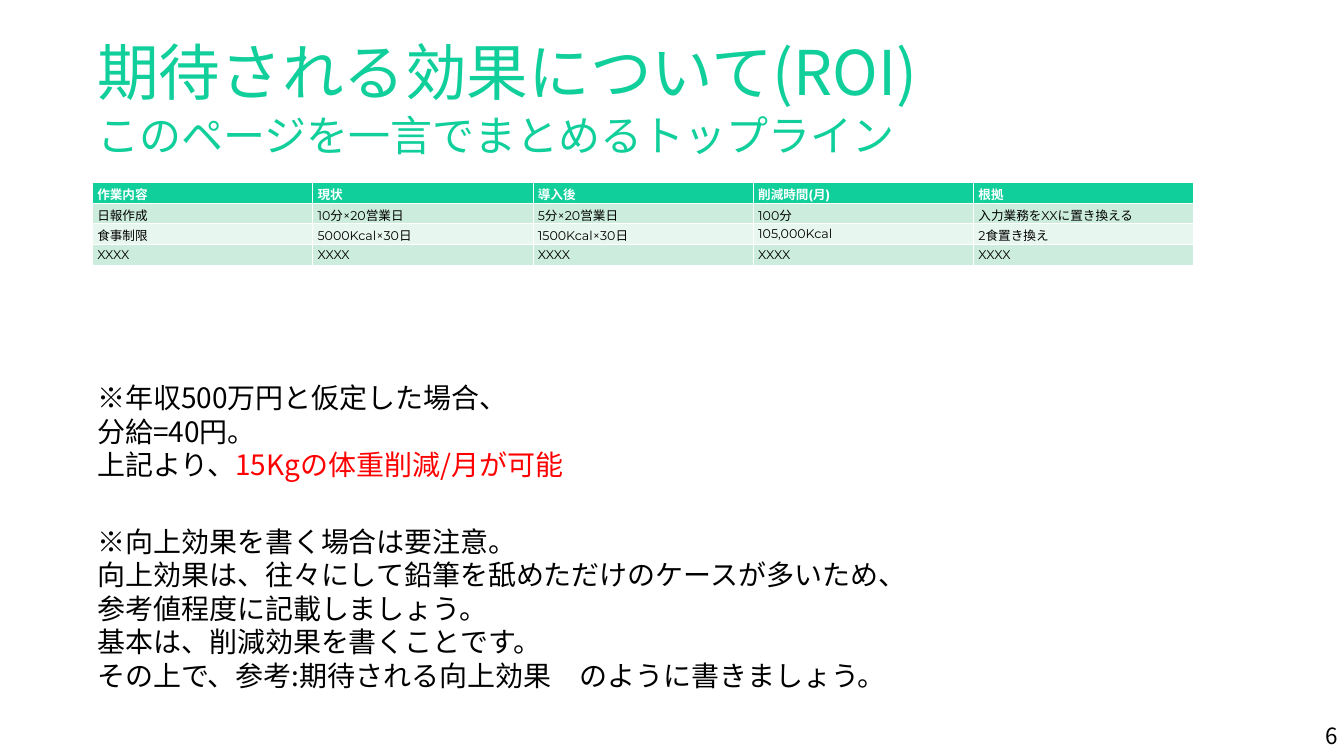
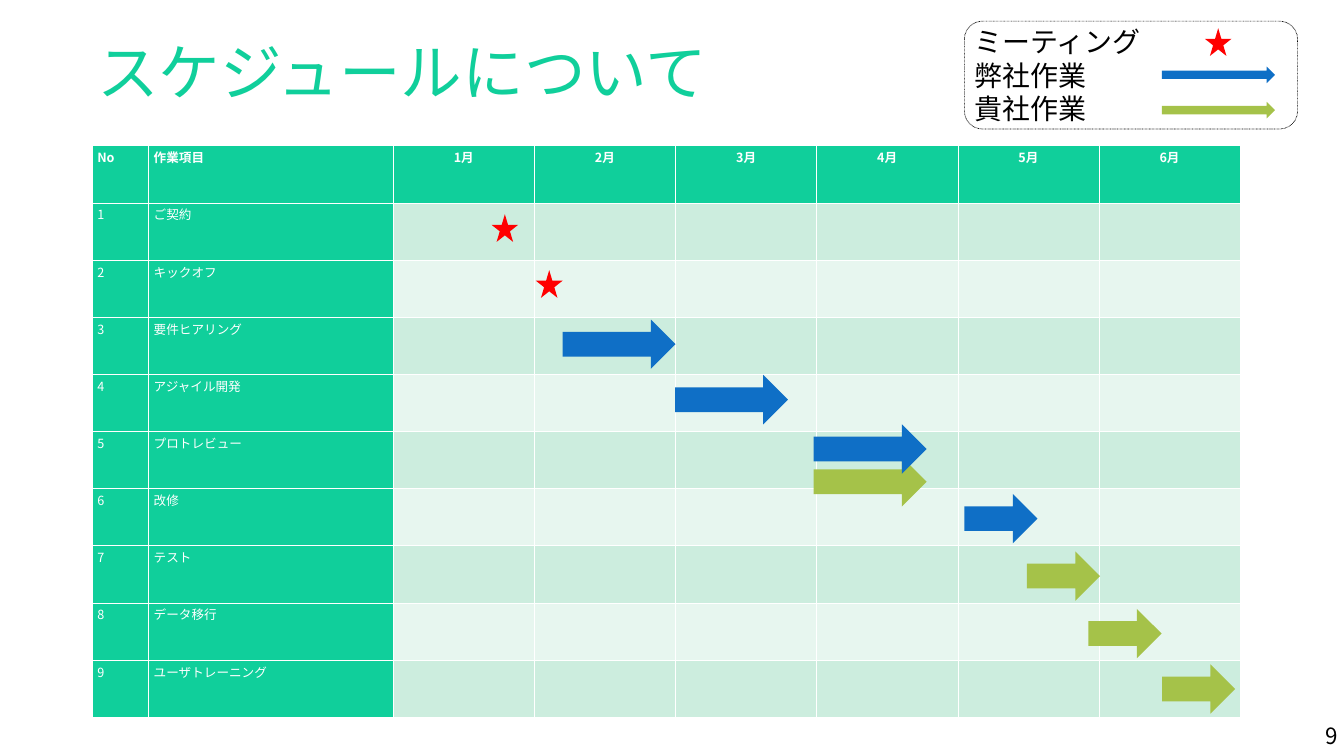
from dataclasses import dataclass
from pptx import Presentation
from pptx.dml.color import RGBColor
from pptx.enum.dml import MSO_LINE_DASH_STYLE as Dash
from pptx.enum.shapes import MSO_SHAPE as Shape
from pptx.enum.text import MSO_ANCHOR as Anchor, PP_ALIGN as Align
from pptx.oxml.ns import qn
from pptx.util import Inches, Pt

GREEN, MINT, PALE = "10CF9B", "CCEDDE", "E7F6EF"
BLUE, OLIVE, RED = "0F6FC6", "A5C249", "FF0000"
BLACK, WHITE = "000000", "FFFFFF"
SANS, LATIN = "Noto Sans CJK JP", "Montserrat"
LEFT = 1.83
NOTE_FORMAT = {"space_before": Pt(3), "space_after": Pt(6)}
TITLE_FORMAT = {"line_spacing": 0.9}


@dataclass
class Span:
    """A stretch of text with one look."""
    text: str
    size: float
    color: str = BLACK
    font: str = SANS
    bold: bool = False


@dataclass
class Mark:
    """A star or an arrow on the schedule."""
    left: float
    top: float
    width: float
    height: float
    color: str
    kind: Shape = Shape.RIGHT_ARROW


def star(left: float, top: float) -> Mark:
    """Describe a meeting."""
    return Mark(left, top, 0.53, 0.55, RED, Shape.STAR_5_POINT)


def legend_arrow(top: float, color: str) -> Mark:
    """Describe a thin arrow of the legend."""
    return Mark(23.05, top, 2.24, 0.33, color)


def task(left: float, top: float, color: str, width: float = 2.24) -> Mark:
    """Describe a task arrow."""
    return Mark(left, top, width, 0.98, color)


SHORT = 1.45
MARKS = [
    legend_arrow(1.32, BLUE), legend_arrow(2.02, OLIVE),
    star(23.9, 0.56), star(9.75, 4.25), star(10.63, 5.36),
    task(11.16, 6.34, BLUE), task(13.39, 7.44, BLUE),
    task(16.14, 9.07, OLIVE), task(16.14, 8.42, BLUE),
    task(19.13, 9.8, BLUE, SHORT), task(20.37, 10.94, OLIVE, SHORT),
    task(21.59, 12.08, OLIVE, SHORT), task(23.05, 13.18, OLIVE, SHORT),
]

EFFECTS = [
    ["作業内容", "現状", "導入後", "削減時間(月)", "根拠"],
    ["日報作成", "10分×20営業日", "5分×20営業日", "100分", "入力業務をXXに置き換える"],
    ["食事制限", "5000Kcal×30日", "1500Kcal×30日", "105,000Kcal", "2食置き換え"],
    ["XXXX"] * 5,
]
TASKS = ["ご契約", "キックオフ", "要件ヒアリング", "アジャイル開発", "プロトレビュー",
         "改修", "テスト", "データ移行", "ユーザトレーニング"]
MONTHS = [f"{month}月" for month in range(1, 7)]
SCHEDULE = [["No", "作業項目", *MONTHS]] + [
    [str(number), name] + [""] * len(MONTHS) for number, name in enumerate(TASKS, 1)]


def rgb(color: str) -> RGBColor:
    """Turn a hex string into a colour."""
    return RGBColor.from_string(color)


def set_format(target, values: dict) -> None:
    """Set each named attribute on the target."""
    for name, value in values.items():
        setattr(target, name, value)


def add_span(para, span: Span) -> None:
    """Append a span to a paragraph; line feeds become line breaks."""
    for index, line in enumerate(span.text.split("\n")):
        if index:
            para.add_line_break()
        if not line:
            continue
        run = para.add_run()
        run.text = line
        set_format(run.font, {"size": Pt(span.size), "name": span.font, "bold": span.bold})
        run.font.color.rgb = rgb(span.color)
        east_asian = run.font._element.makeelement(qn("a:ea"), {"typeface": SANS})
        run.font._element.find(qn("a:latin")).addnext(east_asian)


def add_text(page, left: float, top: float, width: float, height: float,
             spans: list[Span], para_format: dict) -> None:
    """Add a wrapping text box of one paragraph."""
    box = page.shapes.add_textbox(Inches(left), Inches(top), Inches(width), Inches(height))
    box.text_frame.word_wrap = True
    para = box.text_frame.paragraphs[0]
    set_format(para, para_format)
    for span in spans:
        add_span(para, span)


def add_heading(page, top: float, text: str, size: float) -> None:
    """Add a green title or subtitle line."""
    add_text(page, LEFT, top, 22.99, 1.44, [Span(text, size, GREEN)], TITLE_FORMAT)


def add_panel(page, left: float, top: float, width: float, height: float,
              spans: list[Span], align: Align):
    """Add an unfilled rounded box with one paragraph per span."""
    panel = page.shapes.add_shape(Shape.ROUNDED_RECTANGLE, Inches(left), Inches(top),
                                  Inches(width), Inches(height))
    panel.shadow.inherit = False
    panel.fill.background()
    panel.line.fill.background()
    frame = panel.text_frame
    set_format(frame, {"word_wrap": True, "vertical_anchor": Anchor.MIDDLE})
    for index, span in enumerate(spans):
        para = frame.add_paragraph() if index else frame.paragraphs[0]
        para.alignment = align
        add_span(para, span)
    return panel


def add_mark(page, mark: Mark) -> None:
    """Draw a star or an arrow."""
    shape = page.shapes.add_shape(mark.kind, Inches(mark.left), Inches(mark.top),
                                  Inches(mark.width), Inches(mark.height))
    shape.shadow.inherit = False
    shape.fill.solid()
    shape.fill.fore_color.rgb = rgb(mark.color)
    shape.line.fill.background()


def add_grid(page, top: float, widths: list[float], row_height: float,
             rows: list[list[str]], font: str, label_columns: int = 0) -> None:
    """Add a banded table with a green header and green label columns."""
    table = page.shapes.add_table(
        len(rows), len(widths), Inches(LEFT), Inches(top),
        Inches(sum(widths)), Inches(row_height * len(rows))).table
    table.first_col = label_columns > 0
    for column, width in zip(table.columns, widths):
        column.width = Inches(width)
    for row_index, texts in enumerate(rows):
        table.rows[row_index].height = Inches(row_height)
        for column_index, text in enumerate(texts):
            header = row_index == 0
            green = header or column_index < label_columns
            cell = table.cell(row_index, column_index)
            cell.fill.solid()
            cell.fill.fore_color.rgb = rgb(GREEN if green else MINT if row_index % 2 else PALE)
            para = cell.text_frame.paragraphs[0]
            if header and 0 < label_columns <= column_index:
                para.alignment = Align.CENTER
            add_span(para, Span(text, 18, WHITE if green else BLACK, font, header))


def add_page(deck, title: str, number: int):
    """Add a blank page with its title and page number."""
    page = deck.slides.add_slide(deck.slide_layouts[6])
    add_heading(page, 0.8, title, 88)
    panel = add_panel(page, 24.83, 14.2, 1.83, 0.8, [Span(str(number), 32)], Align.RIGHT)
    panel.adjustments[0] = 0.108
    return page


def build_effects(deck) -> None:
    """Build the page on expected effects."""
    page = add_page(deck, "期待される効果について(ROI)", 6)
    add_heading(page, 2.24, "このページを一言でまとめるトップライン", 60)
    add_grid(page, 3.62, [4.37] * 5, 0.41, EFFECTS, LATIN)
    add_text(page, LEFT, 7.5, 9.81, 2.12, [
        Span("※年収500万円と仮定した場合、\n分給=40円。\n上記より、", 40),
        Span("15Kgの体重削減/月が可能", 40, RED)], NOTE_FORMAT)
    add_text(page, LEFT, 10.35, 16.47, 3.47, [Span(
        "※向上効果を書く場合は要注意。\n"
        "向上効果は、往々にして鉛筆を舐めただけのケースが多いため、\n"
        "参考値程度に記載しましょう。\n"
        "基本は、削減効果を書くことです。\n"
        "その上で、参考:期待される向上効果　のように書きましょう。", 40)], NOTE_FORMAT)


def build_schedule(deck) -> None:
    """Build the schedule page with its legend."""
    page = add_page(deck, "スケジュールについて", 9)
    add_grid(page, 2.89, [1.12, 4.85] + [2.8] * len(MONTHS), 1.134, SCHEDULE, SANS, 2)
    legend = add_panel(page, 19.13, 0.42, 6.61, 2.14, [
        Span(text, 40, BLACK, LATIN) for text in ("ミーティング", "弊社作業", "貴社作業")],
        Align.LEFT)
    legend.line.color.rgb = rgb(BLACK)
    set_format(legend.line, {"width": Pt(1), "dash_style": Dash.ROUND_DOT})
    for mark in MARKS:
        add_mark(page, mark)


def main() -> None:
    """Build and save the deck."""
    deck = Presentation()
    set_format(deck, {"slide_width": Inches(26.66), "slide_height": Inches(15)})
    build_effects(deck)
    build_schedule(deck)
    deck.save("out.pptx")


main()
